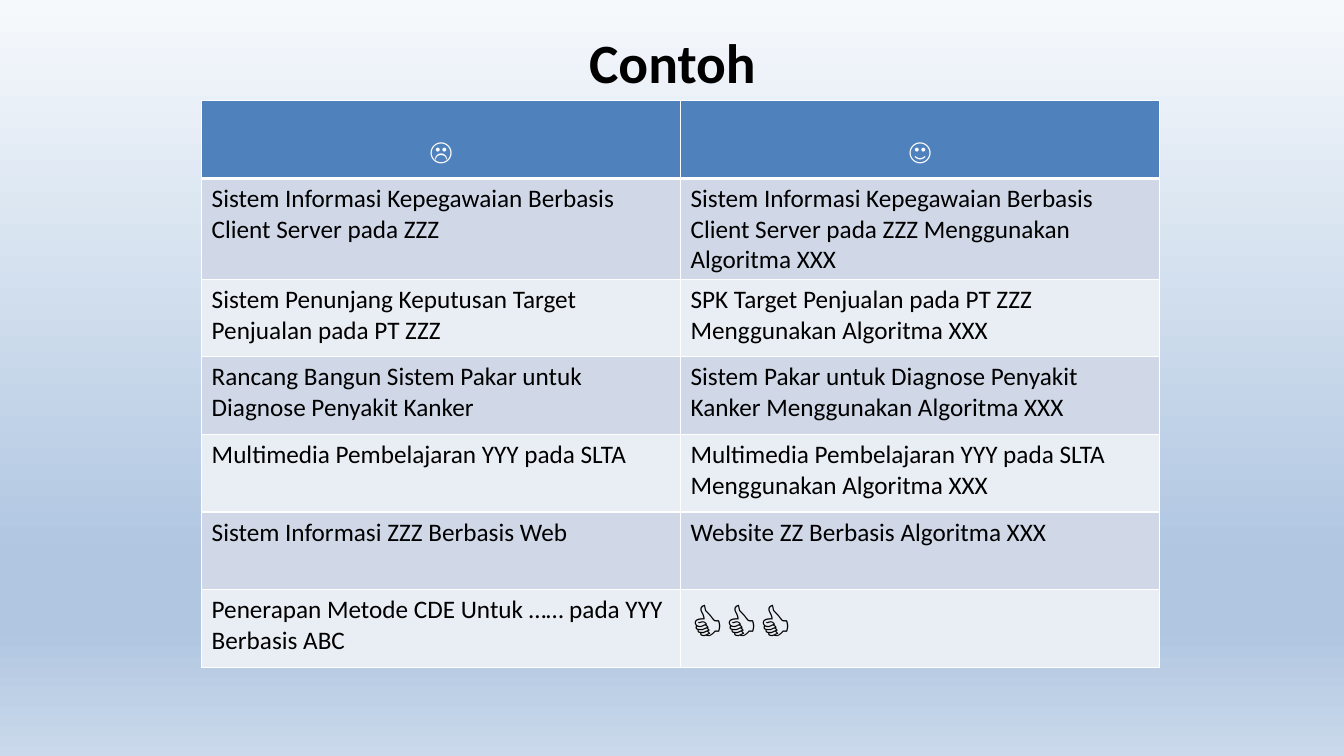
from lxml import etree
from pptx import Presentation
from pptx import util as u
from pptx.dml.color import RGBColor
from pptx.enum import text
from pptx.oxml.ns import qn

FONT = "Calibri"
WHITE, BLACK = "FFFFFF", "000000"
HEADER, BANDS = "4F81BD", ("D0D8E8", "E9EDF4")
BACKDROP = [(0, "F6F9FC"), (74, "B0C6E1"), (83, "B0C6E1"), (100, "CAD9EB")]
THUMBS = "👍👍👍"
EXAMPLES = [
    ("☹️", "🙂"),
    ("Sistem Informasi Kepegawaian Berbasis Client Server pada ZZZ",
     "Sistem Informasi Kepegawaian Berbasis Client Server pada ZZZ Menggunakan Algoritma XXX"),
    ("Sistem Penunjang Keputusan Target Penjualan pada PT ZZZ",
     "SPK Target Penjualan pada PT ZZZ Menggunakan Algoritma XXX"),
    ("Rancang Bangun Sistem Pakar untuk Diagnose Penyakit Kanker",
     "Sistem Pakar untuk Diagnose Penyakit Kanker Menggunakan Algoritma XXX"),
    ("Multimedia Pembelajaran YYY pada SLTA",
     "Multimedia Pembelajaran YYY pada SLTA Menggunakan Algoritma XXX"),
    ("Sistem Informasi ZZZ Berbasis Web", "Website ZZ Berbasis Algoritma XXX"),
    ("Penerapan Metode CDE Untuk …… pada YYY Berbasis ABC", THUMBS),
]


def rgb(code):
    """Turn a hex string into a colour."""
    return RGBColor.from_string(code)


def write(frame, words, size, color, bold=False, centred=False):
    """Put one formatted paragraph into a text frame."""
    frame.text = words
    paragraph = frame.paragraphs[0]
    paragraph.alignment = text.PP_ALIGN.CENTER if centred else text.PP_ALIGN.LEFT
    font = paragraph.runs[0].font
    font.name, font.size, font.bold = FONT, u.Pt(size), bold
    font.color.rgb = rgb(color)


def paint_background(slide, stops):
    """Fill the slide with a vertical gradient of (percent, colour) stops."""
    fill = slide.background.fill
    fill.gradient()
    fill.gradient_angle = 270
    stop_list = slide.element.find(".//" + qn("a:gsLst"))
    for old_stop in list(stop_list):
        stop_list.remove(old_stop)
    for percent, color in stops:
        stop = etree.SubElement(stop_list, qn("a:gs"), pos=str(percent * 1000))
        etree.SubElement(stop, qn("a:srgbClr"), val=color)


def add_title(slide, words):
    """Add the centred heading."""
    heading = slide.shapes.add_textbox(
        u.Inches(2.17), u.Inches(0.3), u.Inches(9), u.Inches(0.62))
    frame = heading.text_frame
    frame.word_wrap = True
    frame.vertical_anchor = text.MSO_ANCHOR.MIDDLE
    write(frame, words, 39.6, BLACK, bold=True, centred=True)


def set_borders(cell, bottom_width):
    """Draw white cell borders, 1 pt except for the bottom one."""
    properties = cell._tc.get_or_add_tcPr()
    widths = {"L": 1, "R": 1, "T": 1, "B": bottom_width}
    for index, (side, width) in enumerate(widths.items()):
        line = etree.Element(qn("a:ln" + side), w=str(u.Pt(width)))
        solid = etree.SubElement(line, qn("a:solidFill"))
        etree.SubElement(solid, qn("a:srgbClr"), val=WHITE)
        properties.insert(index, line)


def add_examples(slide, examples):
    """Add the table of weak and good titles."""
    row_height = u.Inches(0.77)
    table = slide.shapes.add_table(
        len(examples), 2, u.Inches(2), u.Inches(1),
        u.Inches(9.5), row_height * len(examples)).table
    for row, pair in enumerate(examples):
        table.rows[row].height = row_height
        is_header = row == 0
        for column, words in enumerate(pair):
            cell = table.cell(row, column)
            cell.fill.solid()
            cell.fill.fore_color.rgb = rgb(HEADER if is_header else BANDS[(row - 1) % 2])
            set_borders(cell, 3 if is_header else 1)
            if is_header:
                cell.margin_top = u.Inches(0.35)
            write(cell.text_frame, words, 36 if words == THUMBS else 18,
                  WHITE if is_header else BLACK, bold=is_header, centred=is_header)


def main():
    """Build and save the slide."""
    deck = Presentation()
    deck.slide_width, deck.slide_height = u.Inches(13.33), u.Inches(7.5)
    slide = deck.slides.add_slide(deck.slide_layouts[6])
    paint_background(slide, BACKDROP)
    add_title(slide, "Contoh")
    add_examples(slide, EXAMPLES)
    deck.save("out.pptx")


main()
